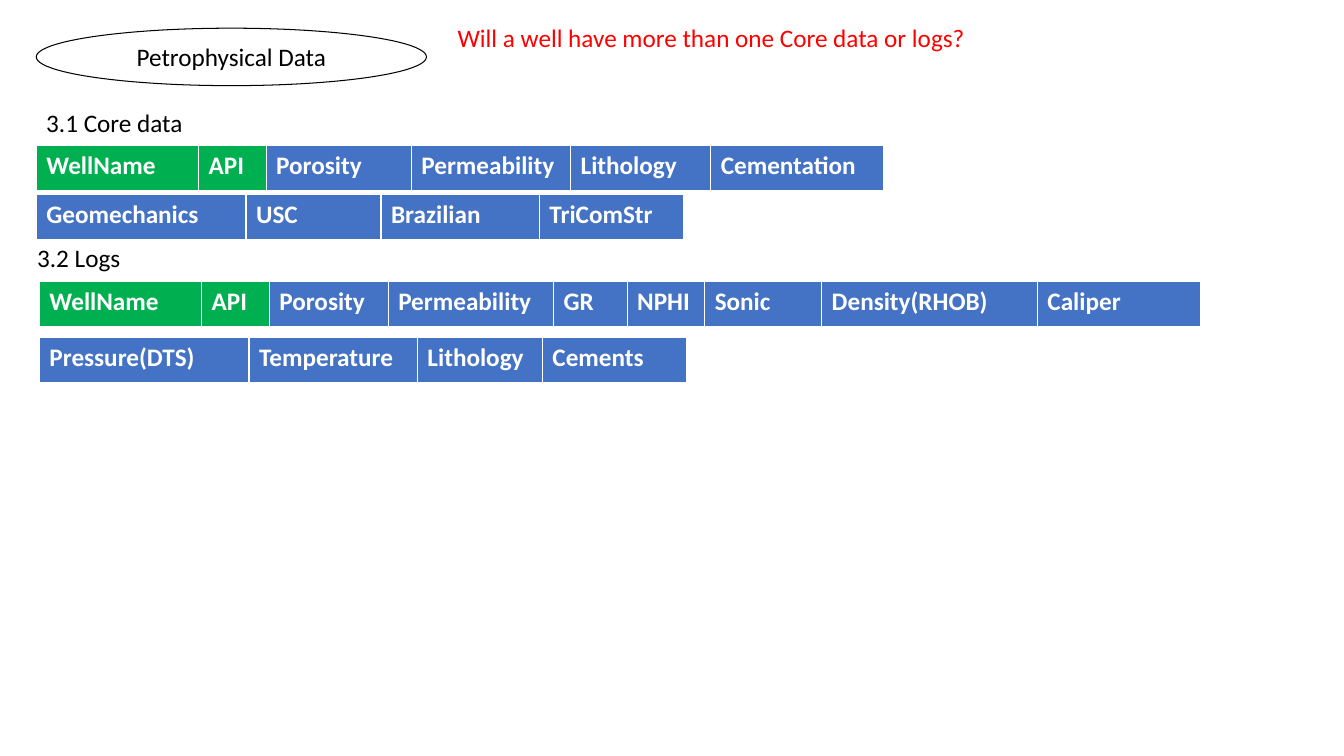
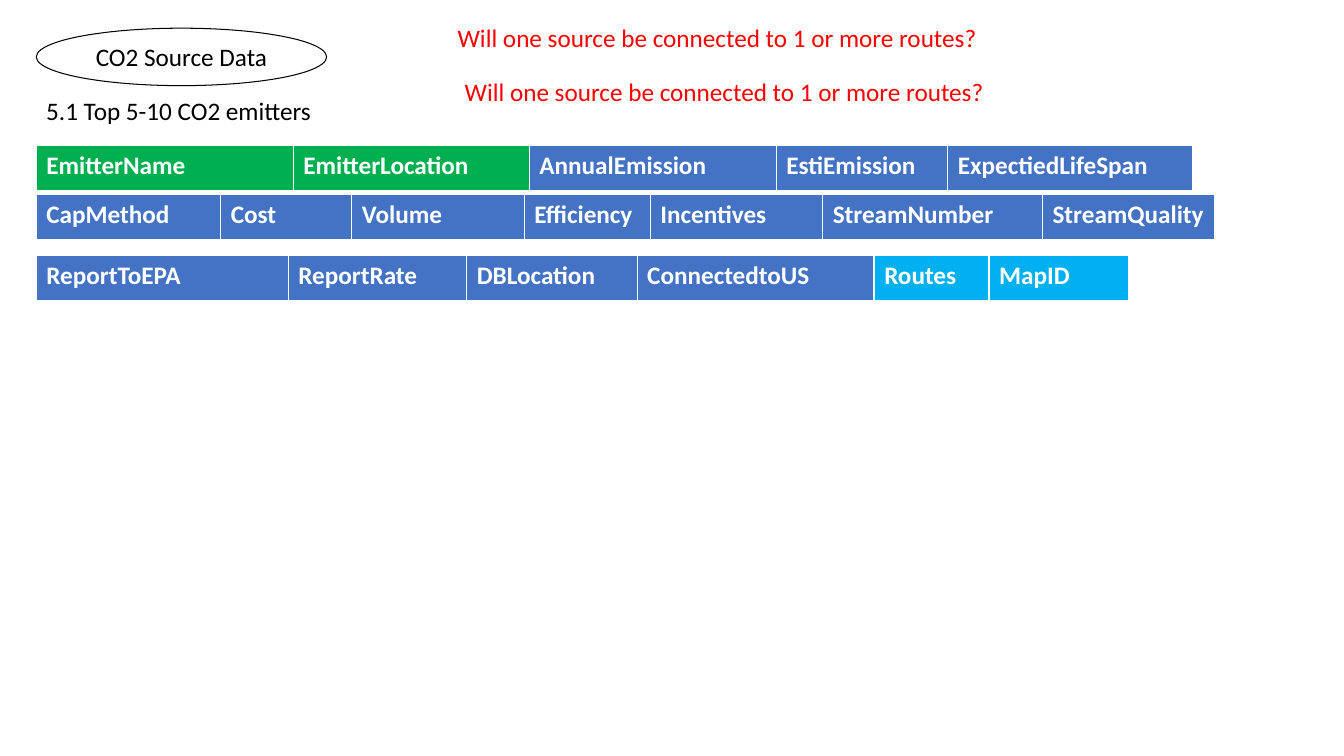
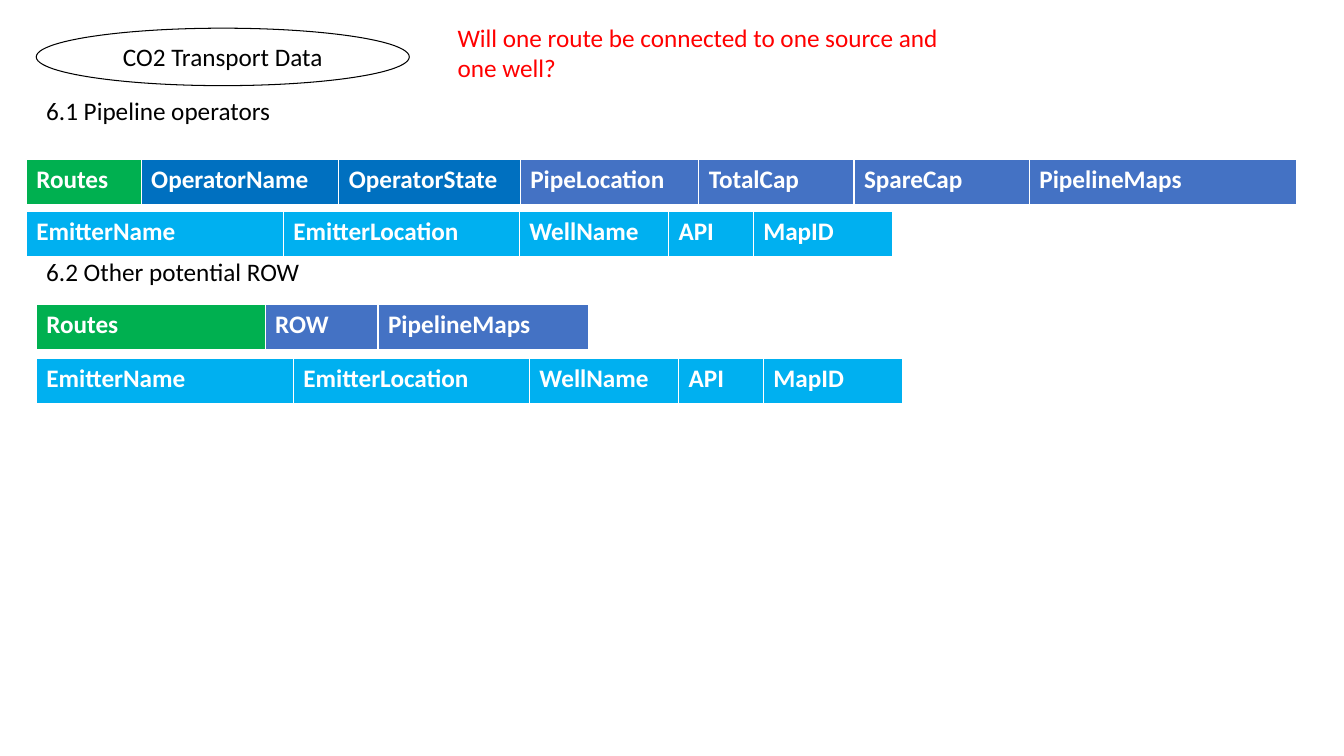
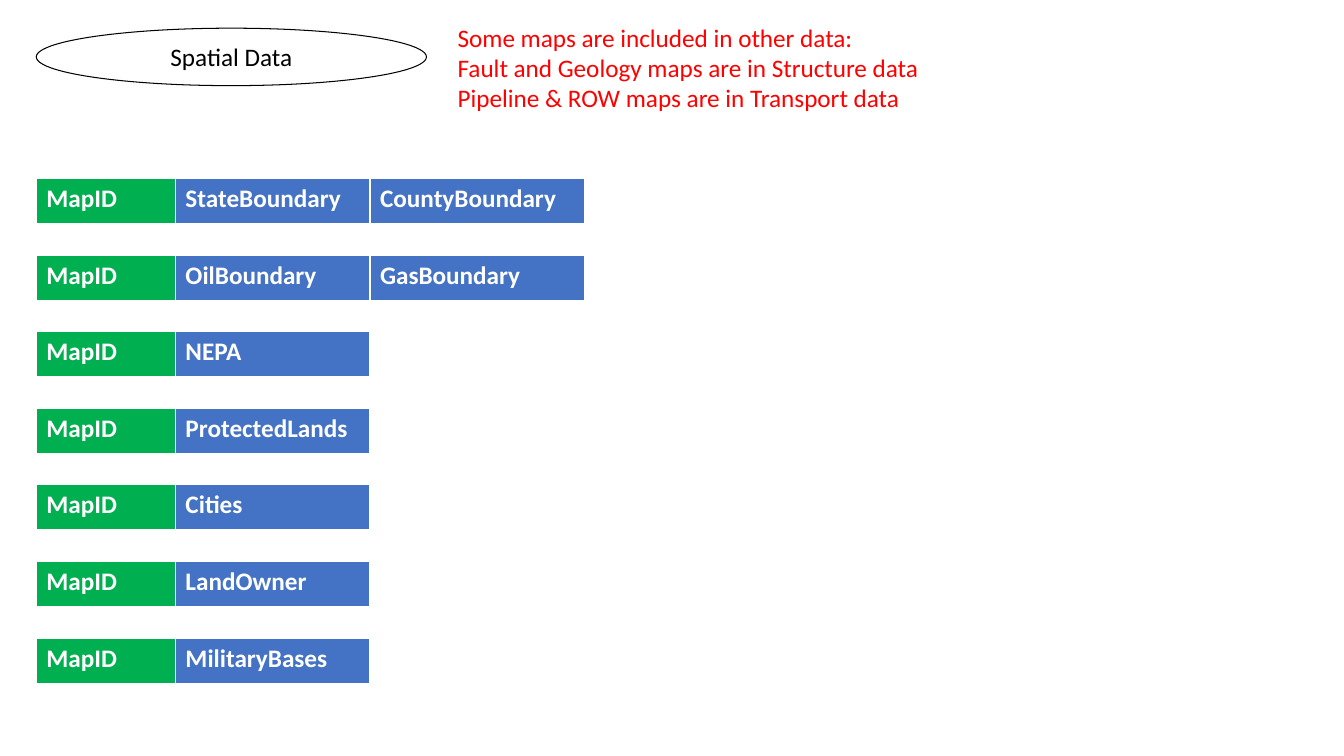
from lxml import etree
from pptx import Presentation
from pptx.dml.color import RGBColor
from pptx.enum import shapes, text
from pptx.oxml.ns import qn
from pptx.util import Inches, Pt

INK = {
    "text": "000000", "note": "FF0000", "edge": "FFFFFF",
    "key": "00B050", "field": "4472C4", "link": "00B0F0", "owner": "0070C0",
}
FONT, SIZE = "Calibri", 18
LEFT, HIGH, STEP = 0.36, 0.46, 0.76
EDGES = {"L": 1, "R": 1, "T": 1, "B": 3}


def cells(kind, **names):
    """List (name, width, kind) for columns of one kind."""
    return [(name, wide, kind) for name, wide in names.items()]


# A strip is (left, top, tables); its tables stand side by side.
WELL = cells("key", WellName=1.61, API=0.67)
EMIT = {"EmitterName": 2.55, "EmitterLocation": 2.34}
ROUTE = {"Routes": 1.14}
MAP = {"MapID": 1.38}
LINKS = [cells("link", **EMIT), cells("link", WellName=1.48, API=0.84),
         cells("link", **MAP)]

MAPS = [
    ["StateBoundary", "CountyBoundary"], ["OilBoundary", "GasBoundary"],
    ["NEPA"], ["ProtectedLands"], ["Cities"], ["LandOwner"], ["MilitaryBases"],
]
MAP_STRIPS = [
    (LEFT, 1.77 + row * STEP,
     [cells("key", **MAP) + cells("field", **dict(zip(names, (1.93, 2.13))))])
    for row, names in enumerate(MAPS)
]

# Heads and notes are (left, top, width, height, lines).
SLIDES = [
    {
        "title": ("Petrophysical Data", 3.87),
        "heads": [(LEFT, 1.02, 2.51, 0.4, ["3.1 Core data"]),
                  (0.27, 2.36, 3.96, 0.4, ["3.2 Logs"])],
        "notes": [(4.44, 0.17, 5.33, 0.4,
                   ["Will a well have more than one Core data or logs?"])],
        "strips": [
            (LEFT, 1.44, [WELL + cells(
                "field", Porosity=1.44, Permeability=1.58, Lithology=1.39,
                Cementation=1.71)]),
            (LEFT, 1.93, [cells("field", Geomechanics=2.08, USC=1.34,
                                Brazilian=1.57, TriComStr=1.43)]),
            (0.39, 2.79, [WELL, cells(
                "field", Porosity=1.18, Permeability=1.64, GR=0.73, NPHI=0.77,
                Sonic=1.16, **{"Density(RHOB)": 2.14}, Caliper=1.62)]),
            (0.39, 3.35, [cells("field", **{"Pressure(DTS)": 2.08},
                                Temperature=1.67, Lithology=1.24, Cements=1.43)]),
        ],
    },
    {
        "title": ("CO2 Source Data", 2.88),
        "heads": [(LEFT, 0.9, 3.54, 0.4, ["5.1 Top 5-10 CO2 emitters"])],
        "notes": [(left, top, 6.31, 0.4,
                   ["Will one source be connected to 1 or more routes?"])
                  for left, top in ((4.44, 0.17), (4.51, 0.71))],
        "strips": [
            (LEFT, 1.44, [cells("key", **EMIT) + cells(
                "field", AnnualEmission=2.45, EstiEmission=1.7,
                ExpectiedLifeSpan=2.43)]),
            (LEFT, 1.93, [cells(
                "field", CapMethod=1.83, Cost=1.3, Volume=1.71, Efficiency=1.25,
                Incentives=1.71, StreamNumber=2.18, StreamQuality=1.71)]),
            (LEFT, 2.53, [cells("field", ReportToEPA=2.5, ReportRate=1.77,
                                DBLocation=1.69, ConnectedtoUS=2.35),
                          cells("link", **ROUTE), cells("link", **MAP)]),
        ],
    },
    {
        "title": ("CO2 Transport Data", 3.7),
        "heads": [(LEFT, 0.9, 3.54, 0.4, ["6.1 Pipeline operators"]),
                  (LEFT, 2.49, 3.54, 0.4, ["6.2 Other potential ROW"])],
        "notes": [(4.44, 0.17, 5.33, 0.71,
                   ["Will one route be connected to one source and one well?"])],
        "strips": [
            (0.26, 1.58, [cells("key", **ROUTE),
                          cells("owner", OperatorName=1.96, OperatorState=1.8)
                          + cells("field", PipeLocation=1.77, TotalCap=1.54,
                                  SpareCap=1.74, PipelineMaps=2.65)]),
            (0.26, 2.1, LINKS),
            (LEFT, 3.02, [cells("key", Routes=2.27)
                          + cells("field", ROW=1.12, PipelineMaps=2.09)]),
            (LEFT, 3.56, LINKS),
        ],
    },
    {
        "title": ("Spatial Data", 3.87),
        "heads": [],
        "notes": [(4.44, 0.17, 5.33, 1.01,
                   ["Some maps are included in other data:",
                    "Fault and Geology maps are in Structure data",
                    "Pipeline & ROW maps are in Transport data"])],
        "strips": MAP_STRIPS,
    },
]


def rgb(name):
    """Look up a palette colour."""
    return RGBColor.from_string(INK[name])


def write(frame, lines, ink, bold=False):
    """Fill a text frame with lines in the shared font."""
    frame.text = "\n".join(lines)
    for para in frame.paragraphs:
        for run in para.runs:
            font = run.font
            font.name, font.size, font.bold = FONT, Pt(SIZE), bold
            font.color.rgb = rgb(ink)


def add_title(slide, words, wide):
    """Draw the outlined oval that names the slide."""
    oval = slide.shapes.add_shape(
        shapes.MSO_SHAPE.OVAL, *map(Inches, (LEFT, 0.28, wide, 0.57)))
    oval.shadow.inherit = False
    oval.fill.background()
    oval.line.color.rgb = rgb("text")
    oval.line.width = Pt(0.75)
    write(oval.text_frame, [words], "text")
    oval.text_frame.paragraphs[0].alignment = text.PP_ALIGN.CENTER


def add_text(slide, box, ink):
    """Place a wrapped text box."""
    *place, lines = box
    frame = slide.shapes.add_textbox(*map(Inches, place)).text_frame
    frame.word_wrap = True
    write(frame, lines, ink)


def add_edges(cell):
    """Give a cell its white borders."""
    props = cell._tc.get_or_add_tcPr()
    for side, thick in EDGES.items():
        line = etree.SubElement(props, qn("a:ln" + side), w=str(Pt(thick)))
        fill = etree.SubElement(line, qn("a:solidFill"))
        etree.SubElement(fill, qn("a:srgbClr"), val=INK["edge"])


def add_strip(slide, left, top, tables):
    """Set one-row tables side by side from the left."""
    for cols in tables:
        wide = sum(col[1] for col in cols)
        table = slide.shapes.add_table(
            1, len(cols), *map(Inches, (left, top, wide, HIGH))).table
        for i, (name, width, kind) in enumerate(cols):
            table.columns[i].width = Inches(width)
            cell = table.cell(0, i)
            add_edges(cell)
            cell.fill.solid()
            cell.fill.fore_color.rgb = rgb(kind)
            write(cell.text_frame, [name], "edge", bold=True)
        left += wide


def main():
    """Build and save the deck."""
    deck = Presentation()
    deck.slide_width, deck.slide_height = Inches(13.33), Inches(7.5)
    for page in SLIDES:
        slide = deck.slides.add_slide(deck.slide_layouts[6])
        add_title(slide, *page["title"])
        for box in page["heads"]:
            add_text(slide, box, "text")
        for strip in page["strips"]:
            add_strip(slide, *strip)
        for box in page["notes"]:
            add_text(slide, box, "note")
    deck.save("out.pptx")


main()
